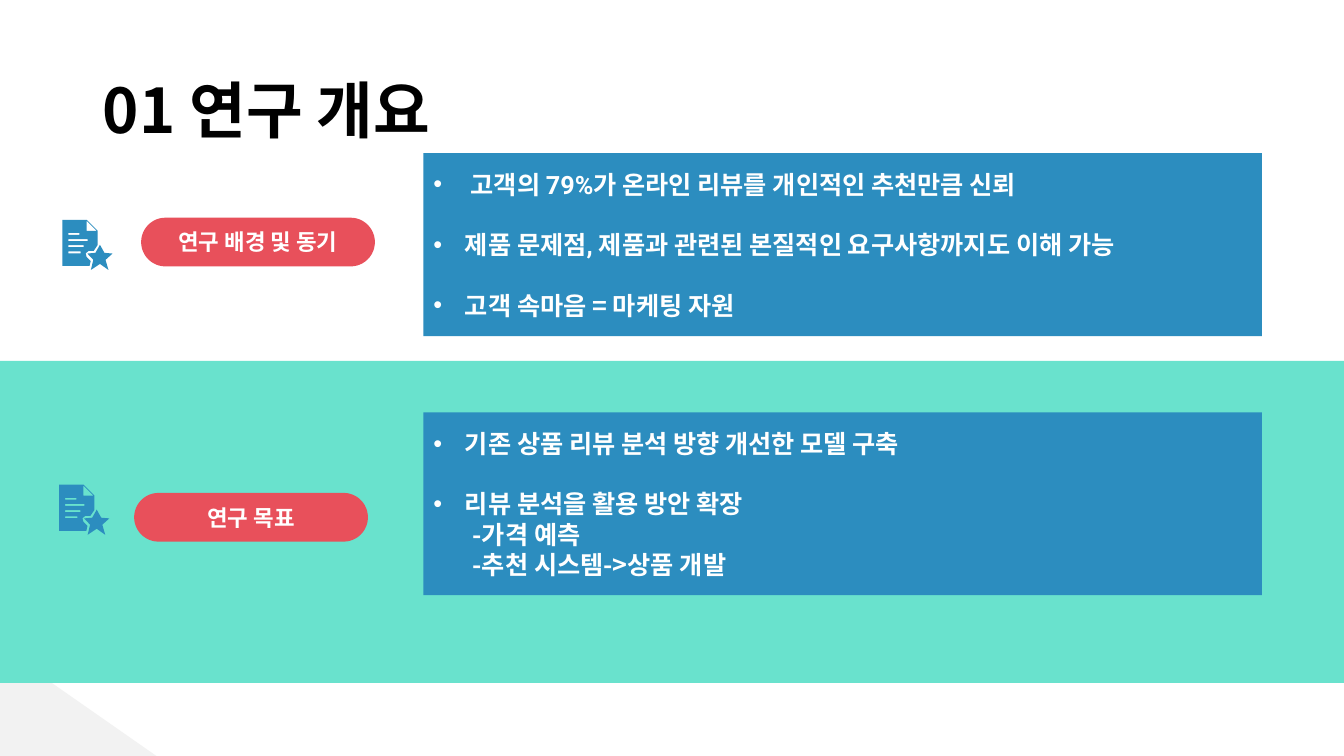
from lxml import etree
from pptx import Presentation
from pptx.dml import color
from pptx.enum import shapes, text
from pptx.oxml import ns
from pptx.util import Pt

KR, ROBOTO = "Noto Sans CJK KR", "Roboto"
BLUE, RED, MINT, GREY, WHITE, BLACK = "2C8DBF", "E8505B", "69E2CD", "F2F2F2", "FFFFFF", "000000"

TITLE = "01 연구 개요"
SECTIONS = [
    {"label": "연구 배경 및 동기", "box_top": 109.4, "pill": (100.8, 155.5), "icon": (44.6, 157),
     "lines": [("bullet", " 고객의 79%가 온라인 리뷰를 개인적인 추천만큼 신뢰", ROBOTO),
               ("bullet", "제품 문제점, 제품과 관련된 본질적인 요구사항까지도 이해 가능", ROBOTO),
               ("bullet", "고객 속마음 = 마케팅 자원", KR)]},
    {"label": "연구 목표", "box_top": 294.5, "pill": (95.8, 352.1), "icon": (42.3, 346.2),
     "lines": [("bullet", "기존 상품 리뷰 분석 방향 개선한 모델 구축", KR),
               ("bullet", "리뷰 분석을 활용 방안 확장", KR),
               ("sub", "-가격 예측", KR),
               ("sub", "-추천 시스템->상품 개발", KR)]},
]
BOX_LEFT, BOX_W, BOX_H = 302.4, 599, 130.7
PILL_W, PILL_H = 167, 34.8
LINE, INDENT, SUB_INDENT = 21.6, 22.5, 28

# Icon outlines, in points from the icon's top left corner
PAGE = [(0, 0), (17.3, 0), (25.2, 7.9), (25.2, 18), (22.3, 22.3), (18.7, 22.3),
        (16.6, 24), (17.3, 26.6), (20.2, 29.5), (19.4, 33), (0, 33)]
FOLD = [(17.3, 0.7), (24.5, 7.9), (17.3, 7.9)]
RULE_RIGHTS = [12.2, 18, 15.1, 13]
RULES = [[(4.3, y), (right, y), (right, y + 1.4), (4.3, y + 1.4)]
         for right, y in zip(RULE_RIGHTS, (9.4 + 4.4 * i for i in range(4)))]
STAR = [(9, 0), (12.2, 5.8), (18, 6.3), (13, 10.8), (15.1, 18),
        (9, 13.7), (2.5, 18), (4.3, 10.8), (0, 6.3), (5.8, 5.8)]
STAR_OFFSET = 17.8


def rgb(hex_):
    return color.RGBColor.from_string(hex_)


def put(obj, **values):
    for name, value in values.items():
        setattr(obj, name, value)


def place(sp, left, top, width, height):
    put(sp, left=Pt(left), top=Pt(top), width=Pt(width), height=Pt(height))


def paint(sp, fill):
    sp.fill.solid()
    sp.fill.fore_color.rgb = rgb(fill)
    sp.line.fill.background()
    sp.shadow.inherit = False
    return sp


def add_shape(slide, kind, fill, *box):
    return paint(slide.shapes.add_shape(kind, *map(Pt, box)), fill)


def write(p, words, size, font, fill):
    """Add a bold run with one typeface for Latin and Korean for the rest."""
    r = p.add_run()
    put(r, text=words)
    put(r.font, size=Pt(size), bold=True, name=font)
    r.font.color.rgb = rgb(fill)
    etree.SubElement(r.font._element, ns.qn("a:ea"), typeface=KR)


def frame(sp):
    put(sp.text_frame, word_wrap=True, auto_size=text.MSO_AUTO_SIZE.NONE,
        vertical_anchor=text.MSO_ANCHOR.MIDDLE)
    return sp.text_frame


def set_bullet(p, kind):
    pPr = p._p.get_or_add_pPr()
    bullet = kind == "bullet"
    pPr.set("marL", str(Pt(INDENT if bullet else SUB_INDENT)))
    pPr.set("indent", str(Pt(-INDENT if bullet else 0)))
    if bullet:
        etree.SubElement(pPr, ns.qn("a:buFont"), typeface="Arial")
        etree.SubElement(pPr, ns.qn("a:buChar"), char="•")
    else:
        etree.SubElement(pPr, ns.qn("a:buNone"))


def fill_list(sp, lines):
    tf = frame(sp)
    for i, (kind, words, font) in enumerate(lines):
        p = tf.paragraphs[0] if i == 0 else tf.add_paragraph()
        gap = LINE if i and kind == "bullet" else 0
        put(p, alignment=text.PP_ALIGN.LEFT, line_spacing=Pt(LINE),
            space_before=Pt(gap), space_after=Pt(0))
        set_bullet(p, kind)
        write(p, words, 18, font, WHITE)


def add_outline(slide, left, top, contours):
    """Draw closed contours as one freeform; inner contours become holes."""
    first, *holes = [[(round(x * 100), round(y * 100)) for x, y in c] for c in contours]
    builder = slide.shapes.build_freeform(*first[0], scale=Pt(1) / 100)
    builder.add_line_segments(first[1:], close=True)
    for hole in holes:
        builder.move_to(*hole[0])
        builder.add_line_segments(hole[1:], close=True)
    return paint(builder.convert_to_shape(Pt(left), Pt(top)), BLUE)


def add_icon(slide, left, top):
    page = add_outline(slide, left, top, [PAGE, FOLD, *RULES])
    star = add_outline(slide, left + STAR_OFFSET, top + STAR_OFFSET, [STAR])
    slide.shapes.add_group_shape([page, star])


def main():
    prs = Presentation()
    put(prs, slide_width=Pt(960), slide_height=Pt(540))
    slide = prs.slides.add_slide(prs.slide_layouts.get_by_name("Two Content"))
    title, *boxes = slide.placeholders

    corner = add_shape(slide, shapes.MSO_SHAPE.ISOSCELES_TRIANGLE, GREY, -0.7, 461.5, 114.5, 79.9)
    corner.adjustments[0] = 0
    band = add_shape(slide, shapes.MSO_SHAPE.RECTANGLE, MINT, 0, 257.8, 960, 230)
    for depth, sp in enumerate((corner, band)):
        slide.shapes._spTree.insert(2 + depth, sp._element)

    place(title, 66.2, 28.8, 828, 104.4)
    p = frame(title).paragraphs[0]
    put(p, alignment=text.PP_ALIGN.LEFT, line_spacing=0.9)
    write(p, TITLE, 44, KR, BLACK)

    for section, box in zip(SECTIONS, boxes):
        place(box, BOX_LEFT, section["box_top"], BOX_W, BOX_H)
        fill_list(paint(box, BLUE), section["lines"])
        pill = add_shape(slide, shapes.MSO_SHAPE.ROUNDED_RECTANGLE, RED,
                         *section["pill"], PILL_W, PILL_H)
        pill.adjustments[0] = 0.5
        p = frame(pill).paragraphs[0]
        p.alignment = text.PP_ALIGN.CENTER
        write(p, section["label"], 16, ROBOTO, WHITE)
        add_icon(slide, *section["icon"])

    prs.save("out.pptx")


if __name__ == "__main__":
    main()
